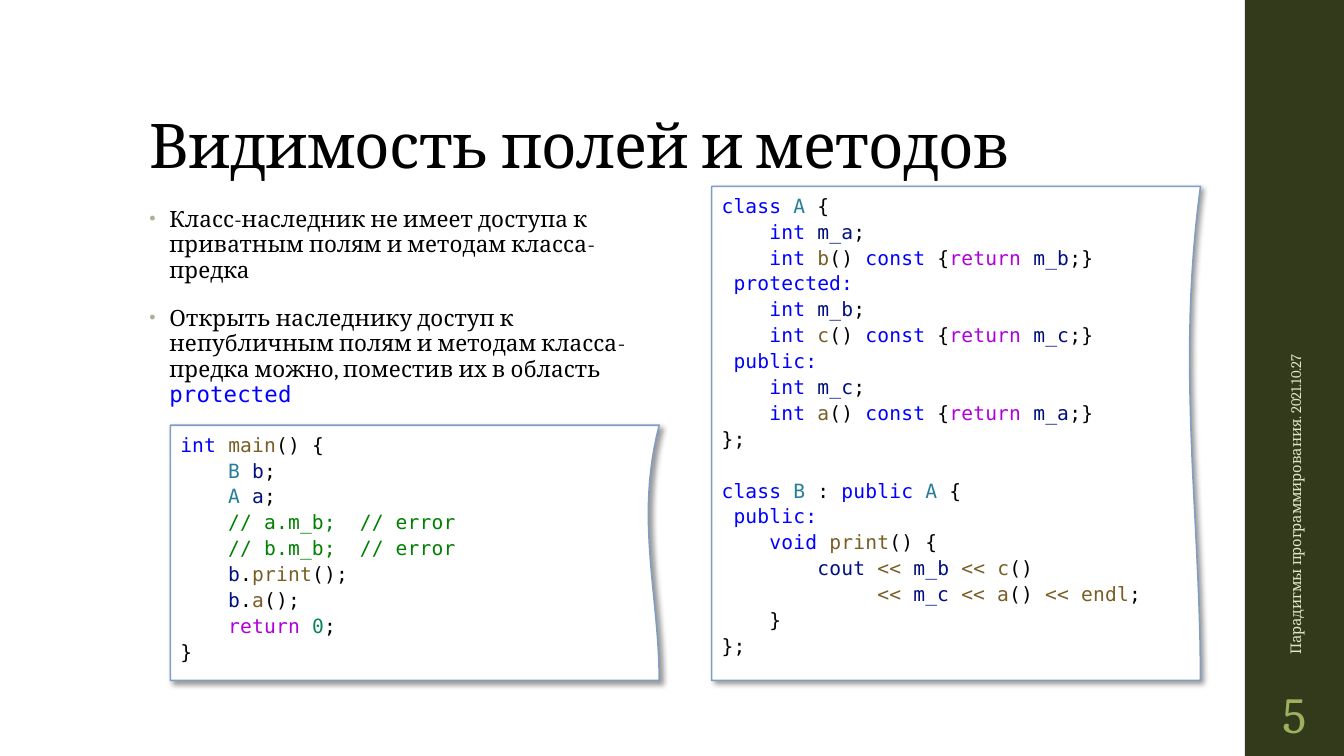
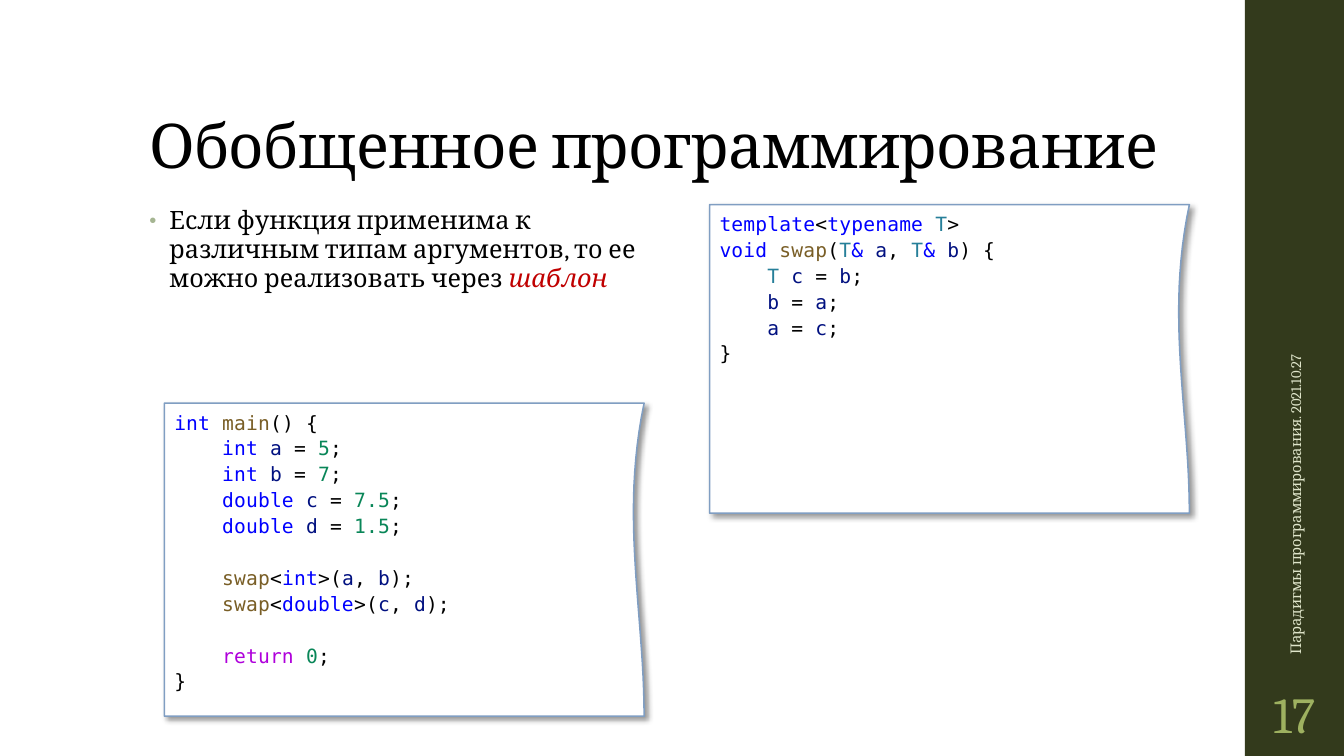
from dataclasses import dataclass
from itertools import groupby

from lxml.etree import SubElement
from pptx import Presentation
from pptx.dml.color import RGBColor
from pptx.enum.shapes import MSO_SHAPE
from pptx.enum.text import MSO_ANCHOR, MSO_AUTO_SIZE, PP_ALIGN
from pptx.oxml.ns import qn
from pptx.util import Pt


@dataclass(frozen=True)
class Theme:
    serif: str = "Cambria"
    mono: str = "DejaVu Sans Mono"
    title_size: float = 44
    number_size: float = 36
    footer_size: float = 10.5
    code_size: float = 14
    code_line: float = 18.5
    code_column: float = 8.56
    black: str = "000000"
    white: str = "FFFFFF"
    band: str = "333A1C"
    footer: str = "DFE5CA"
    number: str = "9EB160"
    bullet: str = "A5B592"
    accent: str = "C00000"
    outline: str = "809EC2"
    keyword: str = "0000FF"
    control: str = "AF00DB"
    type_name: str = "267F99"
    function: str = "795E26"
    variable: str = "001080"
    literal: str = "098658"
    comment: str = "008000"


THEME = Theme()
SLIDE_WIDTH, SLIDE_HEIGHT = 960, 540
BAND_LEFT = 889.2
BAND_WIDTH = SLIDE_WIDTH - BAND_LEFT
TITLE_BOX = (99.4, 28.8, 763.2, 104.4)
FOOTER_BOX = (784.1, 319, 282.2, 28.8)
NUMBER_BOX = (BAND_LEFT, 486, BAND_WIDTH, 46.8)
FOOTER_TEXT = "Парадигмы программирования. 2021.10.27"
CURVE_STEPS = 24

WORD_COLORS = (
    {word: THEME.keyword for word in
     "class int const public protected void double template typename &".split()}
    | {word: THEME.type_name for word in "ABT"}
    | {word: THEME.function for word in ("swap", "endl", "<<")}
    | {"return": THEME.control}
)

CLASSES_CODE = """\
class A {
    int m_a;
    int b() const {return m_b;}
 protected:
    int m_b;
    int c() const {return m_c;}
 public:
    int m_c;
    int a() const {return m_a;}
};

class B : public A {
 public:
    void print() {
        cout << m_b << c()
             << m_c << a() << endl;
    }
};"""

ACCESS_CODE = """\
int main() {
    B b;
    A a;
    // a.m_b;  // error
    // b.m_b;  // error
    b.print();
    b.a();
    return 0;
}"""

TEMPLATE_CODE = """\
template<typename T>
void swap(T& a, T& b) {
    T c = b;
    b = a;
    a = c;
}"""

SWAP_CODE = """\
int main() {
    int a = 5;
    int b = 7;
    double c = 7.5;
    double d = 1.5;

    swap<int>(a, b);
    swap<double>(c, d);

    return 0;
}"""


def set_all(target, values):
    for name, value in values.items():
        setattr(target, name, value)


def place(shape, box):
    set_all(shape, dict(zip(("left", "top", "width", "height"), map(Pt, box))))


def add_span(para, text, size, color, font=THEME.serif, spacing=0, italic=None):
    span = para.add_run()
    span.text = text
    set_all(span.font, {"name": font, "size": Pt(size), "italic": italic})
    span.font.color.rgb = RGBColor.from_string(color)
    if spacing:
        span.font._element.set("spc", str(round(spacing * 100)))


def set_frame(shape, anchor, inset=(7.2, 3.6)):
    across, down = map(Pt, inset)
    set_all(shape.text_frame, {
        "word_wrap": True, "auto_size": MSO_AUTO_SIZE.NONE, "vertical_anchor": anchor,
        "margin_left": across, "margin_right": across,
        "margin_top": down, "margin_bottom": down,
    })
    return shape.text_frame


def add_label(page, box, text, size, color, align, inset=(7.2, 3.6)):
    label = page.shapes.add_textbox(*map(Pt, box))
    para = set_frame(label, MSO_ANCHOR.MIDDLE, inset).paragraphs[0]
    para.alignment = align
    add_span(para, text, size, color)
    return label


def add_shared_parts(page):
    band = page.shapes.add_shape(
        MSO_SHAPE.RECTANGLE, *map(Pt, (BAND_LEFT, 0, BAND_WIDTH, SLIDE_HEIGHT)))
    band.shadow.inherit = False
    band.fill.solid()
    band.fill.fore_color.rgb = RGBColor.from_string(THEME.band)
    band.line.fill.background()
    footer = add_label(page, FOOTER_BOX, FOOTER_TEXT, THEME.footer_size,
                       THEME.footer, PP_ALIGN.LEFT)
    footer.rotation = 270
    layout_tree = page.slide_layout.shapes.element
    for index, shape in enumerate((band, footer), start=2):
        layout_tree.insert(index, shape.element)


def fill_title(page, text):
    title = page.shapes.title
    place(title, TITLE_BOX)
    para = set_frame(title, MSO_ANCHOR.BOTTOM).paragraphs[0]
    set_all(para, {"alignment": PP_ALIGN.LEFT, "line_spacing": 0.9})
    add_span(para, text, THEME.title_size, THEME.black, spacing=-0.5)


def add_bullet(para):
    properties = para._p.get_or_add_pPr()
    properties.set("marL", str(Pt(14.4)))
    properties.set("indent", str(Pt(-14.4)))
    color = SubElement(properties, qn("a:buClr"))
    SubElement(color, qn("a:srgbClr")).set("val", THEME.bullet)
    SubElement(properties, qn("a:buSzPct")).set("val", "80000")
    SubElement(properties, qn("a:buFont")).set("typeface", "Arial")
    SubElement(properties, qn("a:buChar")).set("char", "•")


def fill_body(page, box, size, items):
    body = page.placeholders[1]
    place(body, box)
    frame = set_frame(body, MSO_ANCHOR.TOP)
    for index, spans in enumerate(items):
        para = frame.add_paragraph() if index else frame.paragraphs[0]
        set_all(para, {"alignment": PP_ALIGN.LEFT, "line_spacing": 0.95,
                       "space_before": Pt(14), "space_after": Pt(2)})
        add_bullet(para)
        for text, style in spans:
            add_span(para, text, size, spacing=0.1, **{"color": THEME.black, **style})


def character_kind(character):
    if character.isspace():
        return "space"
    return "word" if character.isalnum() or character == "_" else "sign"


def color_tokens(line):
    if line.startswith("//"):
        return [(line, THEME.comment)]
    if line.endswith(":"):
        return [(line, THEME.keyword)]
    tokens = ["".join(group) for _, group in groupby(line, character_kind)]
    colored = []
    for before, token, after in zip(["", *tokens], tokens, [*tokens[1:], ""]):
        if token in WORD_COLORS:
            color = WORD_COLORS[token]
        elif token.isdigit() or token == "." and before.isdigit():
            color = THEME.literal
        elif character_kind(token[0]) != "word":
            color = THEME.black
        else:
            color = THEME.function if after.startswith("(") else THEME.variable
        colored.append((token, color))
    return colored


def panel_outline(left, top, width, height):
    right = left + width
    pull = 0.05 * width
    points = [(right, top)]
    for step in range(1, CURVE_STEPS + 1):
        t = step / CURVE_STEPS
        rise = 3 * t * (1 - t) ** 2 * 0.365 + 3 * t ** 2 * (1 - t) * 0.667 + t ** 3
        points.append((right - 3 * t * (1 - t) ** 2 * pull, top + rise * height))
    return [*points, (left, top + height)]


def add_panel_shadow(panel):
    panel.shadow.inherit = False
    effects = panel.element.spPr.find(qn("a:effectLst"))
    shadow = SubElement(effects, qn("a:outerShdw"))
    for name, value in {"blurRad": Pt(4), "dist": Pt(3), "dir": 45 * 60000,
                        "algn": "tl", "rotWithShape": 0}.items():
        shadow.set(name, str(value))
    color = SubElement(shadow, qn("a:srgbClr"))
    color.set("val", THEME.black)
    SubElement(color, qn("a:alpha")).set("val", "40000")


def add_code_panel(page, box, code):
    builder = page.shapes.build_freeform(Pt(box[0]), Pt(box[1]))
    builder.add_line_segments([(Pt(x), Pt(y)) for x, y in panel_outline(*box)])
    panel = builder.convert_to_shape()
    add_panel_shadow(panel)
    panel.fill.solid()
    panel.fill.fore_color.rgb = RGBColor.from_string(THEME.white)
    panel.line.color.rgb = RGBColor.from_string(THEME.outline)
    panel.line.width = Pt(1.1)
    frame = set_frame(panel, MSO_ANCHOR.TOP)
    para, gap = frame.paragraphs[0], 0
    for index, line in enumerate(code.splitlines()):
        if not line:
            gap = THEME.code_line
            continue
        if index:
            para = frame.add_paragraph()
        set_all(para, {"alignment": PP_ALIGN.LEFT, "line_spacing": 1.1,
                       "space_before": Pt(gap)})
        gap = 0
        text = line.lstrip()
        indent = (len(line) - len(text)) * THEME.code_column
        para._p.get_or_add_pPr().set("marL", str(Pt(indent)))
        for token, color in color_tokens(text):
            add_span(para, token, THEME.code_size, color, THEME.mono, 0.1)


def add_code_slide(deck, title, number, body, panels):
    page = deck.slides.add_slide(deck.slide_layouts[1])
    fill_title(page, title)
    fill_body(page, *body)
    add_label(page, NUMBER_BOX, number, THEME.number_size, THEME.number,
              PP_ALIGN.CENTER, (3.6, 3.6))
    for box, code in panels:
        add_code_panel(page, box, code)
    return page


def main():
    deck = Presentation()
    set_all(deck, {"slide_width": Pt(SLIDE_WIDTH), "slide_height": Pt(SLIDE_HEIGHT)})
    visibility = [
        [("Класс-наследник не имеет доступа к приватным полям и методам класса-предка", {})],
        [("Открыть наследнику доступ к непубличным полям и методам класса-предка "
          "можно, поместив их в область ", {}),
         ("protected", {"font": THEME.mono, "color": THEME.keyword})],
    ]
    generic = [
        [("Если функция применима к различным типам аргументов, то ее можно "
          "реализовать через ", {}),
         ("шаблон", {"color": THEME.accent, "italic": True})],
    ]
    page = add_code_slide(
        deck, "Видимость полей и методов", "5",
        ((99.4, 144, 380.9, 139), 16, visibility),
        [((508.3, 133.2, 349.2, 352.8), CLASSES_CODE),
         ((121.7, 303.8, 349.2, 182.2), ACCESS_CODE)])
    add_shared_parts(page)
    add_code_slide(
        deck, "Обобщенное программирование", "17",
        ((99.4, 144, 389.5, 342.7), 18, generic),
        [((506.9, 146.2, 342.7, 220.3), TEMPLATE_CODE),
         ((117.4, 288, 342.7, 223.6), SWAP_CODE)])
    deck.save("out.pptx")


if __name__ == "__main__":
    main()
